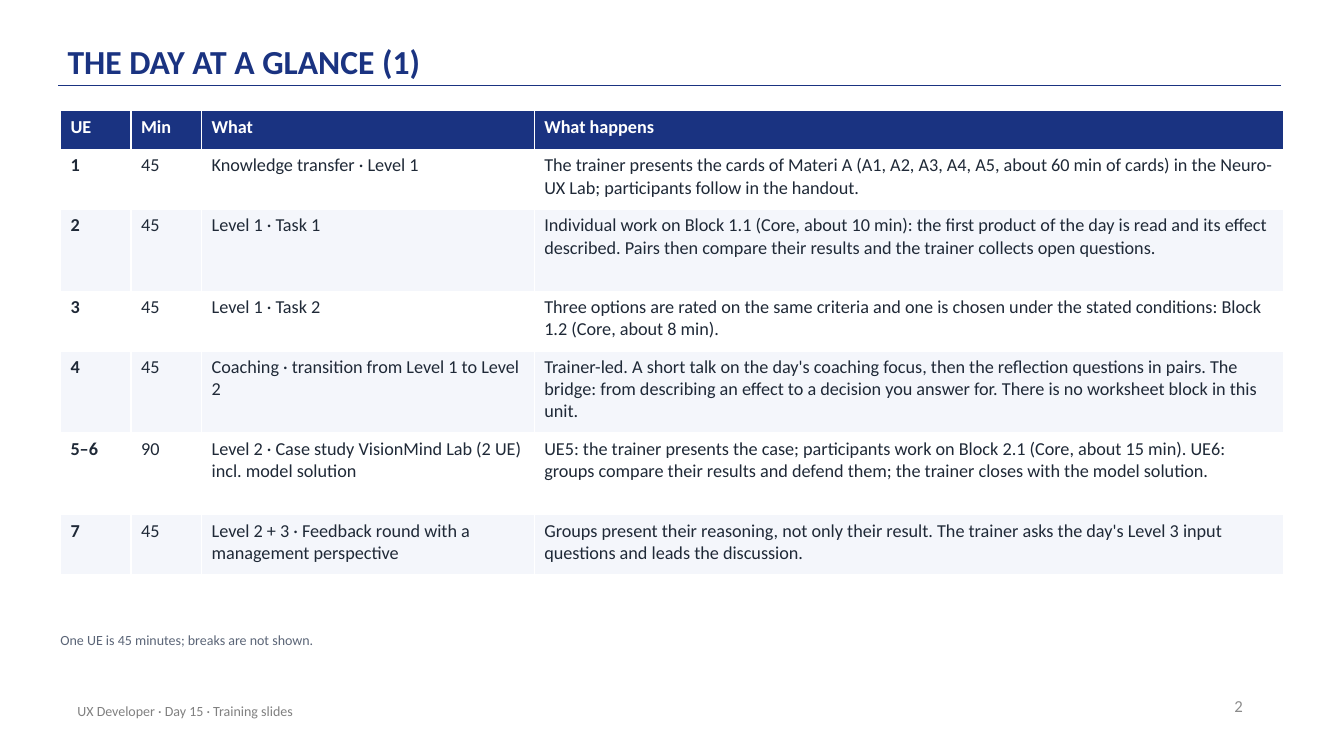
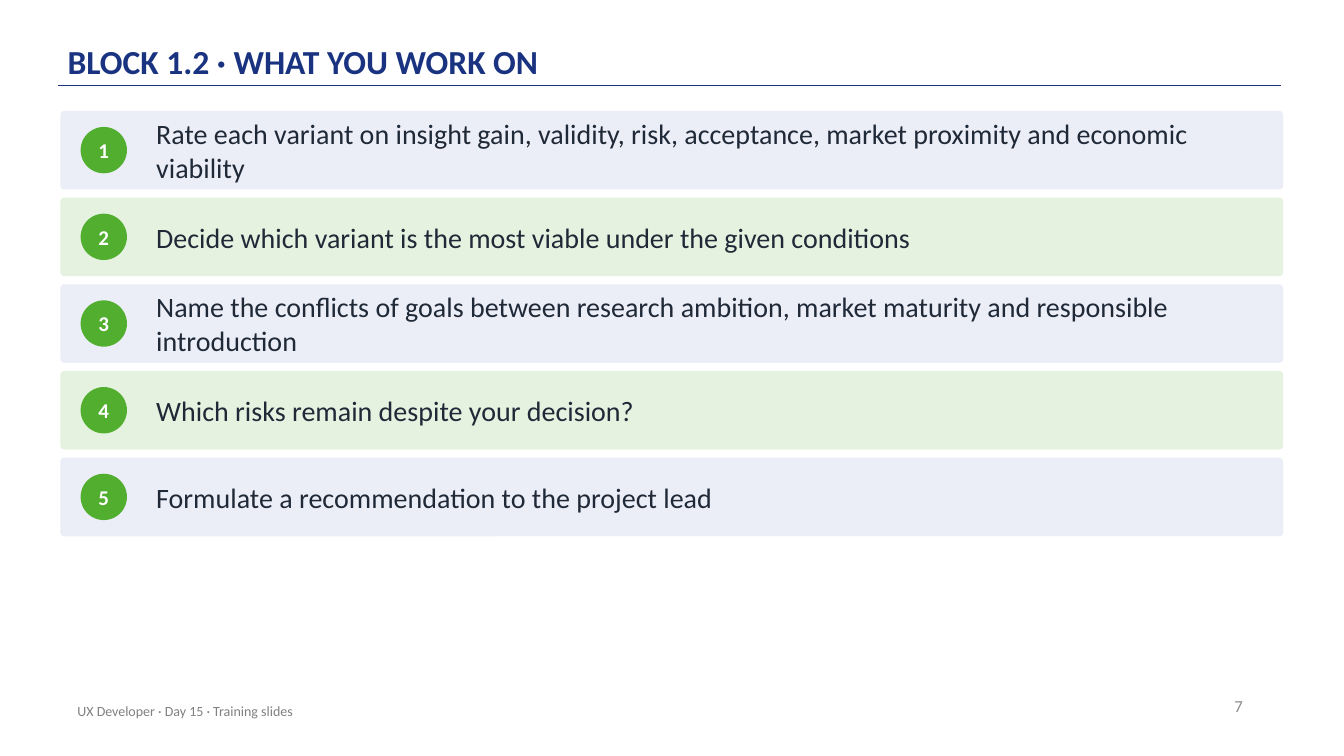
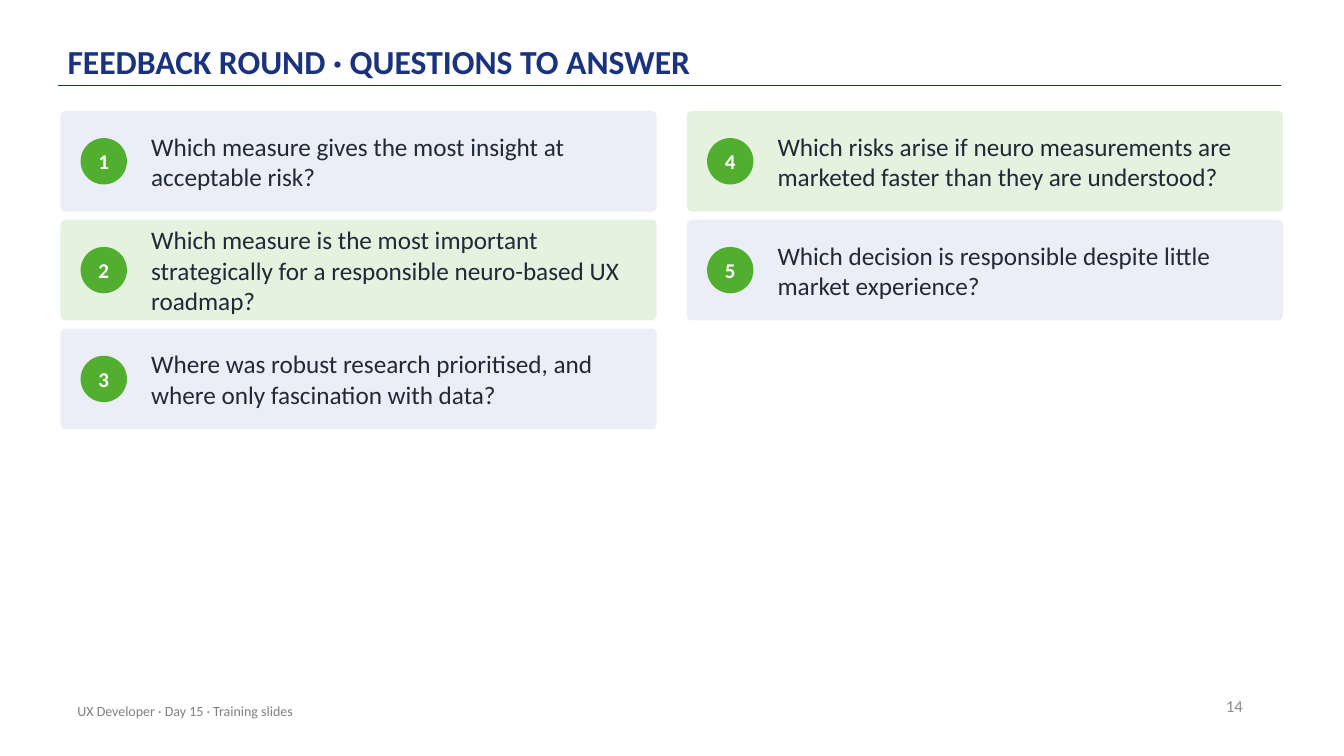
from lxml import etree
from pptx import Presentation
from pptx import util as u
from pptx.dml import color
from pptx.enum import shapes, text
from pptx.oxml import ns

NAVY = color.RGBColor(0x1A, 0x33, 0x81)
GREEN = color.RGBColor(0x51, 0xAE, 0x2F)
INK = color.RGBColor(0x1F, 0x29, 0x37)
NOTE = color.RGBColor(0x5B, 0x65, 0x77)
FOOTER_GRAY = color.RGBColor(0x80, 0x80, 0x80)
NUMBER_GRAY = color.RGBColor(0x8C, 0x8C, 0x8C)
WHITE = color.RGBColor(0xFF, 0xFF, 0xFF)
PALE_ROW = color.RGBColor(0xF4, 0xF6, 0xFB)
PALE_BLUE = color.RGBColor(0xEC, 0xEE, 0xF7)
PALE_GREEN = color.RGBColor(0xE5, 0xF2, 0xDF)

FONT = "Calibri"
LEFT, TOP, WIDTH = 43.2, 79.2, 873.36
BADGE = 33.12
ROW_GAP, COLUMN_GAP = 5.76, 21.6

presentation = Presentation()
presentation.slide_width = u.Pt(960)
presentation.slide_height = u.Pt(540)


def write(shape, wording, size, ink, bold=False, align=text.PP_ALIGN.LEFT,
          anchor=text.MSO_ANCHOR.MIDDLE, inset=(0, 0)):
    frame = shape.text_frame
    frame.word_wrap = True
    frame.vertical_anchor = anchor
    frame.margin_left = frame.margin_right = u.Pt(inset[0])
    frame.margin_top = frame.margin_bottom = u.Pt(inset[1])
    paragraph = frame.paragraphs[0]
    paragraph.text = wording
    paragraph.alignment = align
    paragraph.font.name = FONT
    paragraph.font.size = u.Pt(size)
    paragraph.font.bold = bold
    paragraph.font.color.rgb = ink
    return paragraph


def start_slide(title, number):
    slide = presentation.slides.add_slide(presentation.slide_layouts[6])
    rule = slide.shapes.add_connector(
        shapes.MSO_CONNECTOR.STRAIGHT, u.Pt(915.12), u.Pt(61.2), u.Pt(41.76), u.Pt(61.2))
    rule.line.color.rgb = NAVY
    rule.line.width = u.Pt(1)
    etree.SubElement(rule._element.spPr, ns.qn("a:effectLst"))
    title_box = slide.shapes.add_textbox(u.Pt(48.24), u.Pt(8.64), u.Pt(792), u.Pt(51.84))
    heading = write(title_box, title, 24, NAVY, bold=True,
                    anchor=text.MSO_ANCHOR.BOTTOM, inset=(0, 2.16))
    heading.line_spacing = 0.9
    number_box = slide.shapes.add_textbox(u.Pt(678.96), u.Pt(489.6), u.Pt(216), u.Pt(28.8))
    write(number_box, str(number), 12, NUMBER_GRAY, align=text.PP_ALIGN.RIGHT, inset=(7.2, 3.6))
    footer_box = slide.shapes.add_textbox(u.Pt(48.24), u.Pt(493.2), u.Pt(482.4), u.Pt(28.8))
    write(footer_box, "UX Developer · Day 15 · Training slides", 10, FOOTER_GRAY, inset=(7.2, 3.6))
    return slide


schedule = [
    ("UE", "Min", "What", "What happens"),
    ("1", "45", "Knowledge transfer · Level 1",
     "The trainer presents the cards of Materi A (A1, A2, A3, A4, A5, about 60 min of cards) "
     "in the Neuro-UX Lab; participants follow in the handout."),
    ("2", "45", "Level 1 · Task 1",
     "Individual work on Block 1.1 (Core, about 10 min): the first product of the day is read "
     "and its effect described. Pairs then compare their results and the trainer collects "
     "open questions."),
    ("3", "45", "Level 1 · Task 2",
     "Three options are rated on the same criteria and one is chosen under the stated "
     "conditions: Block 1.2 (Core, about 8 min)."),
    ("4", "45", "Coaching · transition from Level 1 to Level 2",
     "Trainer-led. A short talk on the day's coaching focus, then the reflection questions in "
     "pairs. The bridge: from describing an effect to a decision you answer for. There is no "
     "worksheet block in this unit."),
    ("5–6", "90", "Level 2 · Case study VisionMind Lab (2 UE) incl. model solution",
     "UE5: the trainer presents the case; participants work on Block 2.1 (Core, about 15 min). "
     "UE6: groups compare their results and defend them; the trainer closes with the model "
     "solution."),
    ("7", "45", "Level 2 + 3 · Feedback round with a management perspective",
     "Groups present their reasoning, not only their result. The trainer asks the day's "
     "Level 3 input questions and leads the discussion."),
]
column_widths = [50.4, 50.4, 237.6, 534.96]
row_heights = [27.7, 42.8, 58.4, 42.8, 58.4, 58.4, 42.8]

slide = start_slide("THE DAY AT A GLANCE (1)", 2)
table = slide.shapes.add_table(
    len(schedule), len(column_widths), u.Pt(LEFT), u.Pt(TOP),
    u.Pt(WIDTH), u.Pt(sum(row_heights))).table
for column, width in zip(table.columns, column_widths):
    column.width = u.Pt(width)
for row_index, (entries, height) in enumerate(zip(schedule, row_heights)):
    table.rows[row_index].height = u.Pt(height)
    is_header = row_index == 0
    row_fill = NAVY if is_header else (PALE_ROW, WHITE)[row_index % 2]
    for column_index, entry in enumerate(entries):
        cell = table.cell(row_index, column_index)
        cell.fill.solid()
        cell.fill.fore_color.rgb = row_fill
        paragraph = cell.text_frame.paragraphs[0]
        paragraph.text = entry
        paragraph.font.name = FONT
        paragraph.font.size = u.Pt(13)
        paragraph.font.bold = is_header or column_index == 0
        paragraph.font.color.rgb = WHITE if is_header else INK
note_box = slide.shapes.add_textbox(u.Pt(LEFT), u.Pt(451.44), u.Pt(871.2), u.Pt(21.6))
write(note_box, "One UE is 45 minutes; breaks are not shown.", 10, NOTE,
      anchor=text.MSO_ANCHOR.TOP)

card_slides = [
    {"title": "BLOCK 1.2 · WHAT YOU WORK ON", "number": 7, "rows": 5, "size": 20,
     "card": (WIDTH, 56.16), "text_left": 68.4, "text_right": 18,
     "cards": [
         "Rate each variant on insight gain, validity, risk, acceptance, market proximity "
         "and economic viability",
         "Decide which variant is the most viable under the given conditions",
         "Name the conflicts of goals between research ambition, market maturity and "
         "responsible introduction",
         "Which risks remain despite your decision?",
         "Formulate a recommendation to the project lead"]},
    {"title": "FEEDBACK ROUND · QUESTIONS TO ANSWER", "number": 14, "rows": 3, "size": 18,
     "card": ((WIDTH - COLUMN_GAP) / 2, 72), "text_left": 64.8, "text_right": 14.4,
     "cards": [
         "Which measure gives the most insight at acceptable risk?",
         "Which measure is the most important strategically for a responsible neuro-based "
         "UX roadmap?",
         "Where was robust research prioritised, and where only fascination with data?",
         "Which risks arise if neuro measurements are marketed faster than they are "
         "understood?",
         "Which decision is responsible despite little market experience?"]},
]

for layout in card_slides:
    slide = start_slide(layout["title"], layout["number"])
    width, height = layout["card"]
    for index, wording in enumerate(layout["cards"]):
        column_index, row_index = divmod(index, layout["rows"])
        left = LEFT + column_index * (width + COLUMN_GAP)
        top = TOP + row_index * (height + ROW_GAP)
        card = slide.shapes.add_shape(
            shapes.MSO_SHAPE.ROUNDED_RECTANGLE, u.Pt(left), u.Pt(top), u.Pt(width), u.Pt(height))
        card.adjustments[0] = 0.05
        badge = slide.shapes.add_shape(
            shapes.MSO_SHAPE.OVAL, u.Pt(left + 14.4), u.Pt(top + (height - BADGE) / 2),
            u.Pt(BADGE), u.Pt(BADGE))
        card_fill = (PALE_BLUE, PALE_GREEN)[index % 2]
        for shape, fill in ((card, card_fill), (badge, GREEN)):
            shape.shadow.inherit = False
            shape.fill.solid()
            shape.fill.fore_color.rgb = fill
            shape.line.fill.background()
        write(badge, str(index + 1), 15, WHITE, bold=True, align=text.PP_ALIGN.CENTER)
        text_box = slide.shapes.add_textbox(
            u.Pt(left + layout["text_left"]), u.Pt(top),
            u.Pt(width - layout["text_left"] - layout["text_right"]), u.Pt(height))
        write(text_box, wording, layout["size"], INK)

presentation.save("out.pptx")
